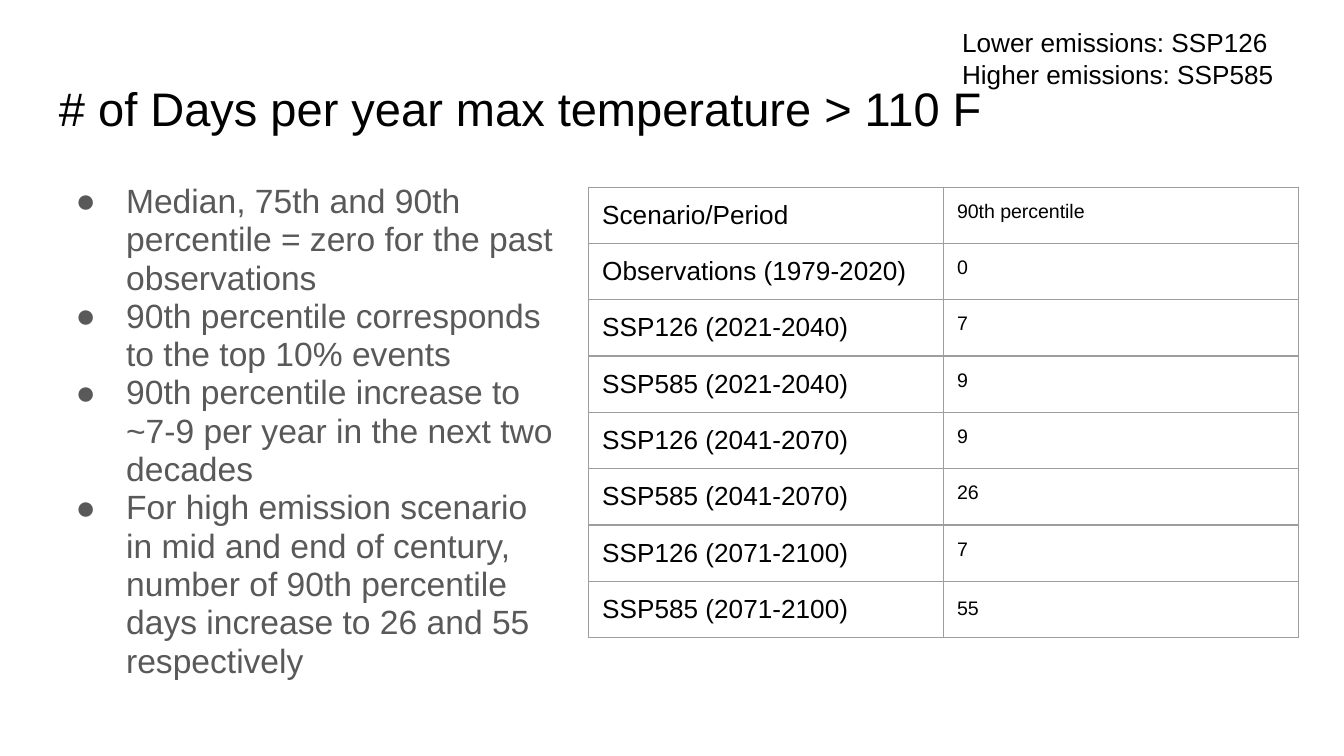
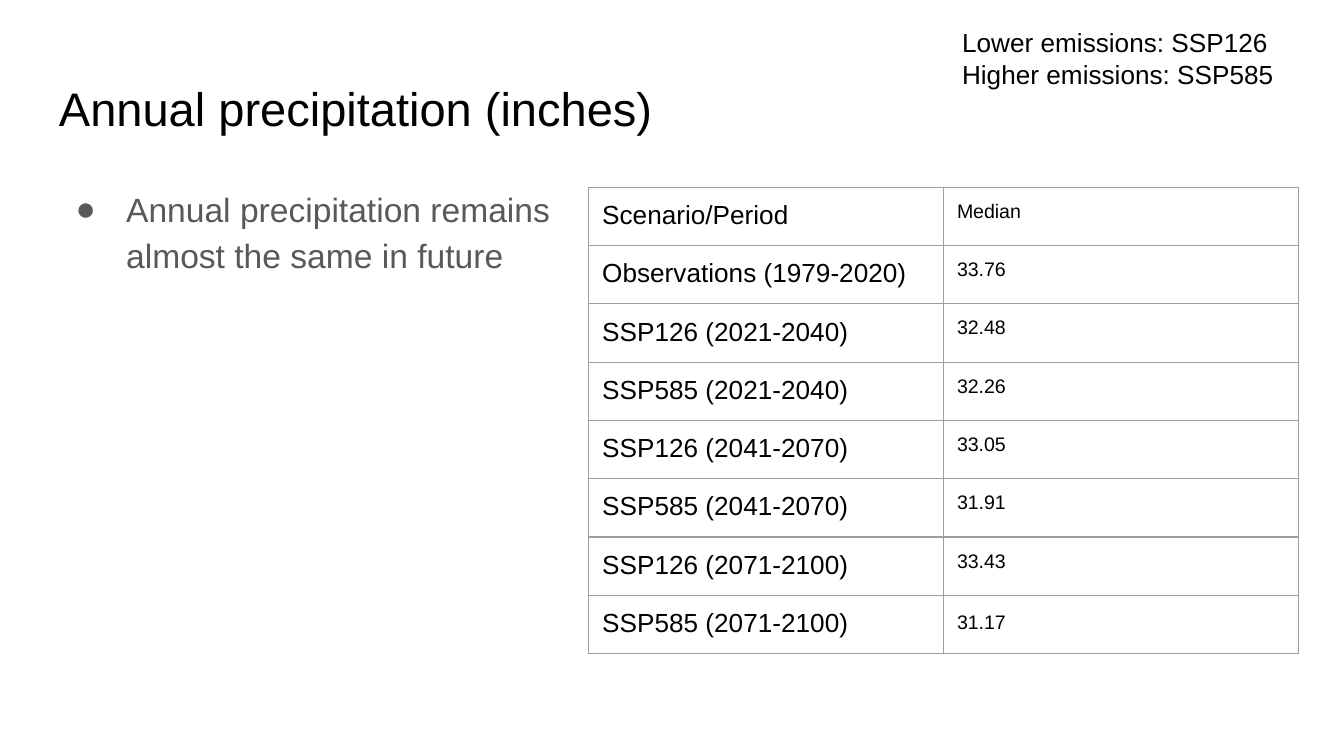
from lxml import etree
from pptx import Presentation
from pptx.dml.color import RGBColor
from pptx.enum import text
from pptx.oxml import ns
from pptx.util import Pt

FONT = "Arial"
BLACK, GREY, BORDER, WHITE = "000000", "595959", "9E9E9E", "FFFFFF"
INSET = 7.2

# Boxes in points: left, top, width, height
TITLE_BOX = (24.5, 35.3, 671, 45.4)
BODY_BOX = (24.5, 90.7, 282.2, 303)
LEGEND_BOX = (508.3, 7.2, 217.4, 48.2)
TABLE_BOX = (315.4, 100.3, 380.2, 241.2)

PERIODS = ["Observations (1979-2020)"] + [
    f"{scenario} ({years})"
    for years in ("2021-2040", "2041-2070", "2071-2100")
    for scenario in ("SSP126", "SSP585")
]
LEGEND = ["Lower emissions: SSP126", "Higher emissions: SSP585"]


def rgb(value):
    return RGBColor.from_string(value)


def add_xml(parent, tag, **attrs):
    return etree.SubElement(parent, ns.qn(tag), attrs)


def style(p, size, color=BLACK):
    p.font.name = FONT
    p.font.size = Pt(size)
    p.font.color.rgb = rgb(color)


def set_margins(target):
    target.margin_left = target.margin_right = Pt(INSET)
    target.margin_top = target.margin_bottom = Pt(INSET)


def add_text(s, box, lines, size, color=BLACK, spacing=None, bullets=False):
    tf = s.shapes.add_textbox(*map(Pt, box)).text_frame
    tf.word_wrap = True
    set_margins(tf)
    tf.text = "\n".join(lines)
    for p in tf.paragraphs:
        if bullets:
            add_bullet(p, color)
        if spacing:
            p.line_spacing = spacing
        style(p, size, color)
    return tf


def add_bullet(p, color):
    pPr = p._p.get_or_add_pPr()
    pPr.set("marL", str(Pt(36)))
    pPr.set("indent", str(Pt(-27)))
    add_xml(add_xml(pPr, "a:buClr"), "a:srgbClr", val=color)
    add_xml(pPr, "a:buFont", typeface=FONT)
    add_xml(pPr, "a:buChar", char="●")


def add_borders(cell):
    tcPr = cell._tc.get_or_add_tcPr()
    for side in ("a:lnL", "a:lnR", "a:lnT", "a:lnB"):
        ln = add_xml(tcPr, side, w=str(Pt(0.75)))
        add_xml(add_xml(ln, "a:solidFill"), "a:srgbClr", val=BORDER)


def fill_cell(cell, value, size):
    set_margins(cell)
    add_borders(cell)
    cell.fill.background()
    cell.text = value
    p = cell.text_frame.paragraphs[0]
    p.alignment = text.PP_ALIGN.JUSTIFY
    style(p, size)
    return p


def add_scenario_table(s, box, measure, values):
    rows = [("Scenario/Period", measure), *zip(PERIODS, values)]
    table = s.shapes.add_table(len(rows), 2, *map(Pt, box)).table
    table.first_row = table.horz_banding = False
    for col in table.columns:
        col.width = Pt(box[2] / 2)
    for i, (label, value) in enumerate(rows):
        table.rows[i].height = Pt(box[3] / len(rows))
        fill_cell(table.cell(i, 0), label, 14)
        p = fill_cell(table.cell(i, 1), value, 10.5)
    # The last value has looser line spacing
    p.line_spacing = 1.15


def add_scenario_slide(prs, title, points, spacing, measure, values):
    s = prs.slides.add_slide(prs.slide_layouts[6])
    s.background.fill.solid()
    s.background.fill.fore_color.rgb = rgb(WHITE)
    # Results table
    add_scenario_table(s, TABLE_BOX, measure, values)
    # Title and bullet points
    add_text(s, TITLE_BOX, [title], 25.2)
    add_text(s, BODY_BOX, points, 18, GREY, spacing, bullets=True)
    # Scenario legend
    tf = add_text(s, LEGEND_BOX, LEGEND, 14)
    tf.auto_size = text.MSO_AUTO_SIZE.SHAPE_TO_FIT_TEXT


def main():
    prs = Presentation()
    prs.slide_width, prs.slide_height = Pt(720), Pt(405)
    add_scenario_slide(
        prs,
        "# of Days per year max temperature > 110 F",
        [
            "Median, 75th and 90th percentile = zero for the past observations",
            "90th percentile corresponds to the top 10% events",
            "90th percentile increase to ~7-9 per year in the next two decades",
            "For high emission scenario in mid and end of century, number of "
            "90th percentile days increase to 26 and 55 respectively",
        ],
        0.95,
        "90th percentile",
        ["0", "7", "9", "9", "26", "7", "55"],
    )
    add_scenario_slide(
        prs,
        "Annual precipitation (inches)",
        ["Annual precipitation remains almost the same in future"],
        1.15,
        "Median",
        ["33.76", "32.48", "32.26", "33.05", "31.91", "33.43", "31.17"],
    )
    prs.save("out.pptx")


if __name__ == "__main__":
    main()
